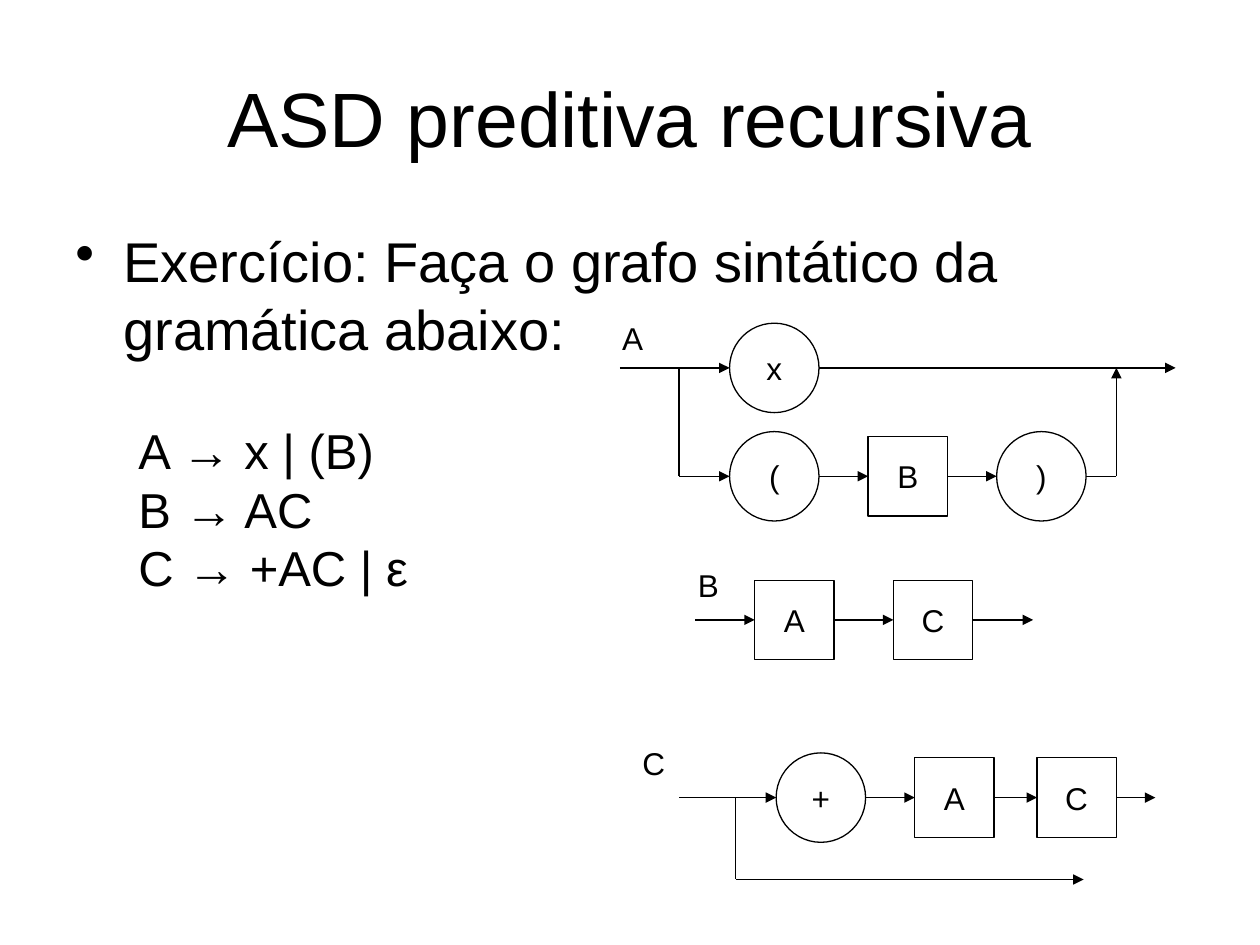
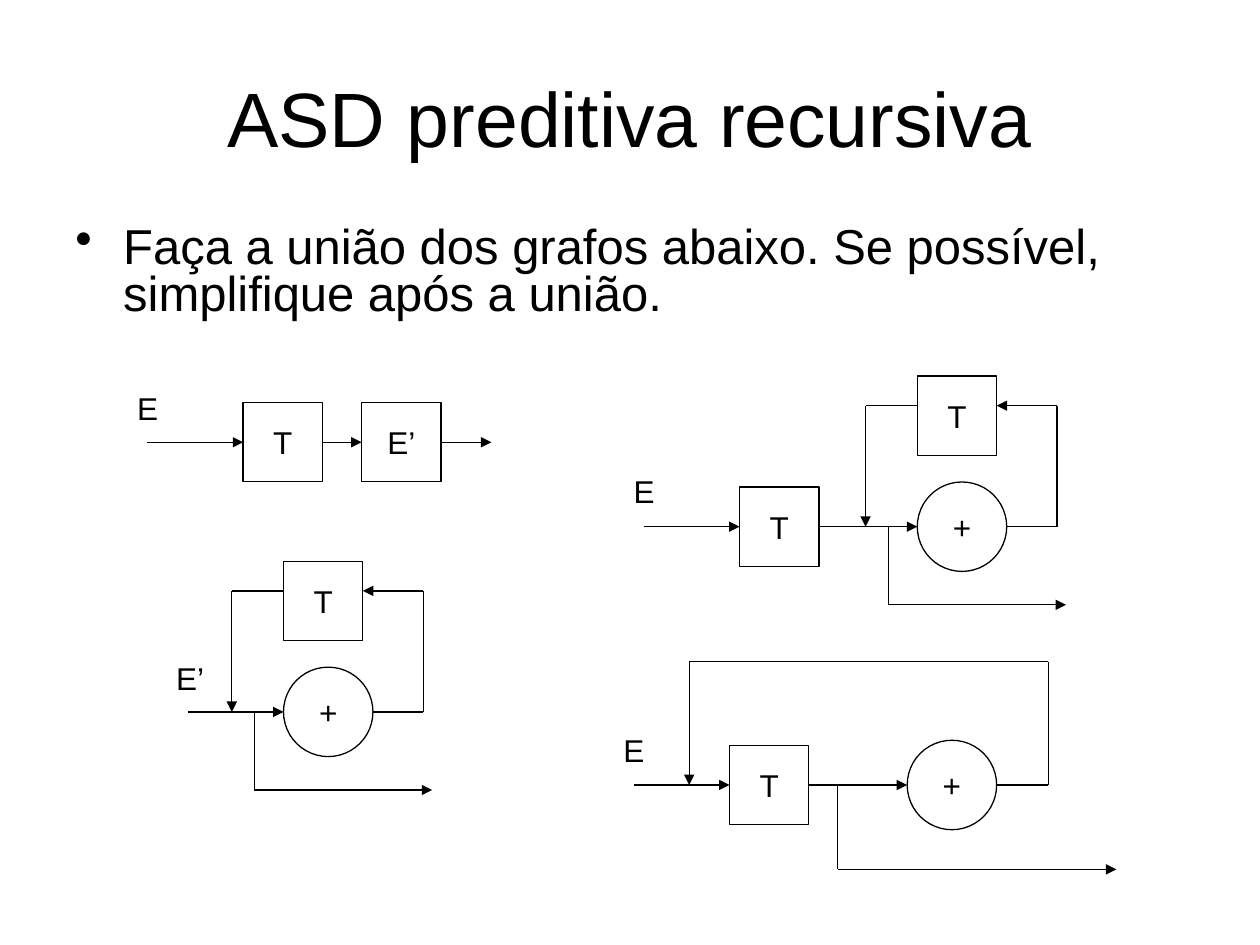
from dataclasses import dataclass
from typing import Any

from lxml import etree
from pptx import Presentation
from pptx.dml.color import RGBColor
from pptx.enum.shapes import MSO_CONNECTOR, MSO_SHAPE
from pptx.enum.text import MSO_ANCHOR, MSO_AUTO_SIZE, PP_ALIGN
from pptx.oxml.ns import qn
from pptx.util import Inches, Pt

STRAIGHT = MSO_CONNECTOR.STRAIGHT
RECT, OVAL = MSO_SHAPE.RECTANGLE, MSO_SHAPE.OVAL
LEFT_ALIGN, CENTER = PP_ALIGN.LEFT, PP_ALIGN.CENTER
TOP, MIDDLE = MSO_ANCHOR.TOP, MSO_ANCHOR.MIDDLE
NO_AUTOFIT = MSO_AUTO_SIZE.NONE
LEFT_SIDE, RIGHT_SIDE = 1, 3
TITLE_ONLY = 5


@dataclass(frozen=True)
class Theme:
    ink: RGBColor = RGBColor(0, 0, 0)
    font: str = "Arial"
    title: int = 44
    task: int = 32
    detail: int = 28
    symbol: int = 18
    line: float = 0.75
    box: float = 0.63
    circle: float = 0.71


THEME = Theme()


@dataclass(frozen=True)
class Port:
    """A wire end; it joins the shape when one is given."""
    x: float
    y: float
    shape: Any = None
    side: int = LEFT_SIDE


def write(frame, text, size, align=LEFT_ALIGN, anchor=TOP, wrap=True, bullet=False,
          margin=0, indent=0, pitch=None, before=0, add=False):
    """Set the text of a frame, or add it as one more paragraph."""
    frame.word_wrap = wrap
    frame.auto_size = NO_AUTOFIT
    frame.vertical_anchor = anchor
    paragraph = frame.add_paragraph() if add else frame.paragraphs[0]
    properties = paragraph._p.get_or_add_pPr()
    properties.set("marL", str(Inches(margin)))
    properties.set("indent", str(Inches(indent)))
    if bullet:
        etree.SubElement(properties, qn("a:buChar")).set("char", "•")
    else:
        etree.SubElement(properties, qn("a:buNone"))
    paragraph.alignment = align
    if pitch:
        paragraph.line_spacing = Pt(pitch)
    if before:
        paragraph.space_before = Pt(before)
    run = paragraph.add_run()
    run.text = text
    run.font.name = THEME.font
    run.font.size = Pt(size)
    run.font.color.rgb = THEME.ink


class SyntaxGraph:
    """Draws on a slide with every position relative to its left and top."""

    def __init__(self, slide, left, top):
        self.shapes = slide.shapes
        self.left, self.top = left, top

    def place(self, x, y):
        return Inches(self.left + x), Inches(self.top + y)

    def label(self, text, y=0):
        name = self.shapes.add_textbox(*self.place(0, y), Inches(0.4), Inches(0.4))
        write(name.text_frame, text, THEME.symbol, wrap=False)

    def node(self, text, x, axis, terminal):
        """Draw a symbol centred on the axis and return its left and right ports."""
        size = THEME.circle if terminal else THEME.box
        symbol = self.shapes.add_shape(OVAL if terminal else RECT,
                                       *self.place(x, axis - size / 2),
                                       Inches(size), Inches(size))
        symbol.shadow.inherit = False
        symbol.fill.background()
        symbol.line.color.rgb = THEME.ink
        symbol.line.width = Pt(THEME.line)
        write(symbol.text_frame, text, THEME.symbol, align=CENTER, anchor=MIDDLE,
              wrap=False)
        joined = None if terminal else symbol
        return (Port(x, axis, joined, LEFT_SIDE),
                Port(x + size, axis, joined, RIGHT_SIDE))

    def segment(self, start, end, arrow):
        wire = self.shapes.add_connector(STRAIGHT, *self.place(start.x, start.y),
                                         *self.place(end.x, end.y))
        if start.shape is not None:
            wire.begin_connect(start.shape, start.side)
        if end.shape is not None:
            wire.end_connect(end.shape, end.side)
        wire.line.color.rgb = THEME.ink
        wire.line.width = Pt(THEME.line)
        if arrow:
            outline = wire.line._get_or_add_ln()
            etree.SubElement(outline, qn("a:tailEnd")).set("type", "triangle")
        etree.SubElement(wire._element.spPr, qn("a:effectLst"))

    def path_through(self, *stops, arrow=True):
        """Draw straight segments through the stops, with an arrowhead on the last."""
        ports = [stop if isinstance(stop, Port) else Port(*stop) for stop in stops]
        for index, (start, end) in enumerate(zip(ports, ports[1:]), 2):
            self.segment(start, end, arrow and index == len(ports))

    def chain(self, axis, start, symbols, end=None):
        """Draw (text, x, terminal) symbols in a row; return the last right port."""
        port = Port(start, axis)
        for text, x, terminal in symbols:
            entry, leaving = self.node(text, x, axis, terminal)
            self.path_through(port, entry)
            port = leaving
        if end is not None:
            self.path_through(port, (end, axis))
        return port


def rule_a(slide, left, top):
    graph = SyntaxGraph(slide, left, top)
    main, lower, fork, merge = 0.44, 1.3, 0.55, 4.02
    graph.label("A")
    graph.chain(main, 0.08, [("x", 0.95, True)], 4.49)
    graph.path_through((fork, main), (fork, lower), arrow=False)
    closing = graph.chain(lower, fork, [("(", 0.95, True), ("B", 2.05, False),
                                        (")", 3.07, True)])
    graph.path_through(closing, (merge, lower), (merge, main))


def rule_b(slide, left, top):
    graph = SyntaxGraph(slide, left, top)
    graph.label("B")
    graph.chain(0.48, 0.08, [("A", 0.55, False), ("C", 1.65, False)], 2.76)


def rule_c(slide, left, top):
    graph = SyntaxGraph(slide, left, top)
    axis, fork, bypass = 0.47, 0.84, 1.12
    graph.label("C")
    graph.chain(axis, 0.39, [("+", 1.16, True), ("A", 2.26, False),
                             ("C", 3.23, False)], 4.17)
    graph.path_through((fork, axis), (fork, bypass), (3.6, bypass))


def sequence_e(slide, left, top):
    graph = SyntaxGraph(slide, left, top)
    graph.label("E")
    graph.chain(0.47, 0.18, [("T", 0.94, False), ("E’", 1.88, False)], 2.91)


def plus_loop(graph, x, axis, plus):
    """Return from "+" through T above it, with a way out below, starting at x."""
    back, fork, bypass = 0.23, x + 0.18, axis + 0.62
    above, above_end = x + 0.41, x + 0.41 + THEME.box
    graph.node("T", above, 0.31, False)
    turn = x + 1.52
    graph.path_through(plus, (turn, axis), (turn, back), (above_end, back))
    graph.path_through((above, back), (x, back), (x, axis))
    graph.path_through((fork, axis), (fork, bypass), (x + 1.59, bypass))


def loop_e_prime(slide, left, top):
    graph = SyntaxGraph(slide, left, top)
    axis = 1.19
    graph.label("E’", 0.72)
    plus = graph.chain(axis, 0.19, [("+", 0.95, True)])
    plus_loop(graph, 0.54, axis, plus)


def joined_e(slide, left, top):
    graph = SyntaxGraph(slide, left, top)
    axis = 1.19
    graph.label("E", 0.71)
    plus = graph.chain(axis, 0.18, [("T", 0.94, False), ("+", 2.35, True)])
    plus_loop(graph, 1.94, axis, plus)


def simplified_e(slide, left, top):
    graph = SyntaxGraph(slide, left, top)
    axis, turn, back, fork, bypass = 0.98, 3.47, 0.62, 1.8, 1.65
    graph.label("E", 0.5)
    plus = graph.chain(axis, 0.18, [("T", 0.94, False), ("+", 2.35, True)])
    graph.path_through(plus, (turn, axis), (turn, 0), (back, 0), (back, axis))
    graph.path_through((fork, axis), (fork, bypass), (4.01, bypass))


def exercise_slide(deck, task, size, pitch, height):
    """Add a titled slide with a bulleted task; return the slide and the task frame."""
    slide = deck.slides.add_slide(deck.slide_layouts[TITLE_ONLY])
    title = slide.shapes.title
    title.left, title.top = Inches(0.5), Inches(0.3)
    title.width, title.height = Inches(9), Inches(1.25)
    write(title.text_frame, "ASD preditiva recursiva", THEME.title, align=CENTER,
          anchor=MIDDLE)
    body = slide.shapes.add_textbox(Inches(0.5), Inches(1.75), Inches(9),
                                    Inches(height))
    write(body.text_frame, task, size, bullet=True, margin=0.38, indent=-0.38,
          pitch=pitch)
    return slide, body.text_frame


def grammar_slide(deck):
    slide, frame = exercise_slide(
        deck, "Exercício: Faça o grafo sintático da gramática abaixo:",
        THEME.task, 38.5, 4.95)
    for index, rule in enumerate(["A → x | (B)", "B → AC", "C → +AC | ε"]):
        write(frame, rule, THEME.detail, margin=0.81, indent=-0.31, pitch=33.5,
              before=0 if index else 34, add=True)
    rule_a(slide, 4.84, 2.48)
    rule_b(slide, 5.44, 4.44)
    rule_c(slide, 5, 5.86)


def union_slide(deck):
    slide, _ = exercise_slide(
        deck, "Faça a união dos grafos abaixo. Se possível, simplifique após a união.",
        THEME.detail, 27, 0.9)
    sequence_e(slide, 0.99, 3.04)
    loop_e_prime(slide, 1.3, 4.46)
    joined_e(slide, 4.93, 2.99)
    simplified_e(slide, 4.85, 5.25)


def main():
    deck = Presentation()
    deck.slide_width, deck.slide_height = Inches(10), Inches(7.5)
    grammar_slide(deck)
    union_slide(deck)
    deck.save("out.pptx")


if __name__ == "__main__":
    main()
